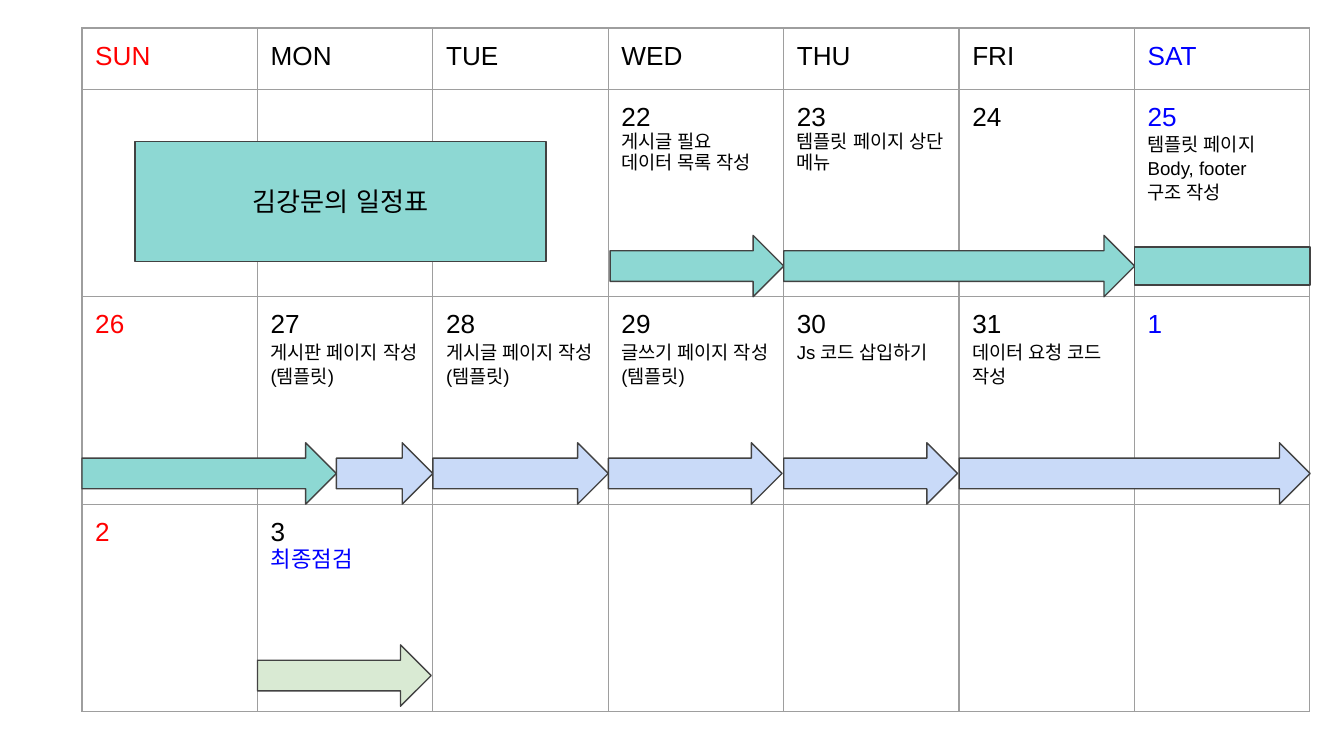
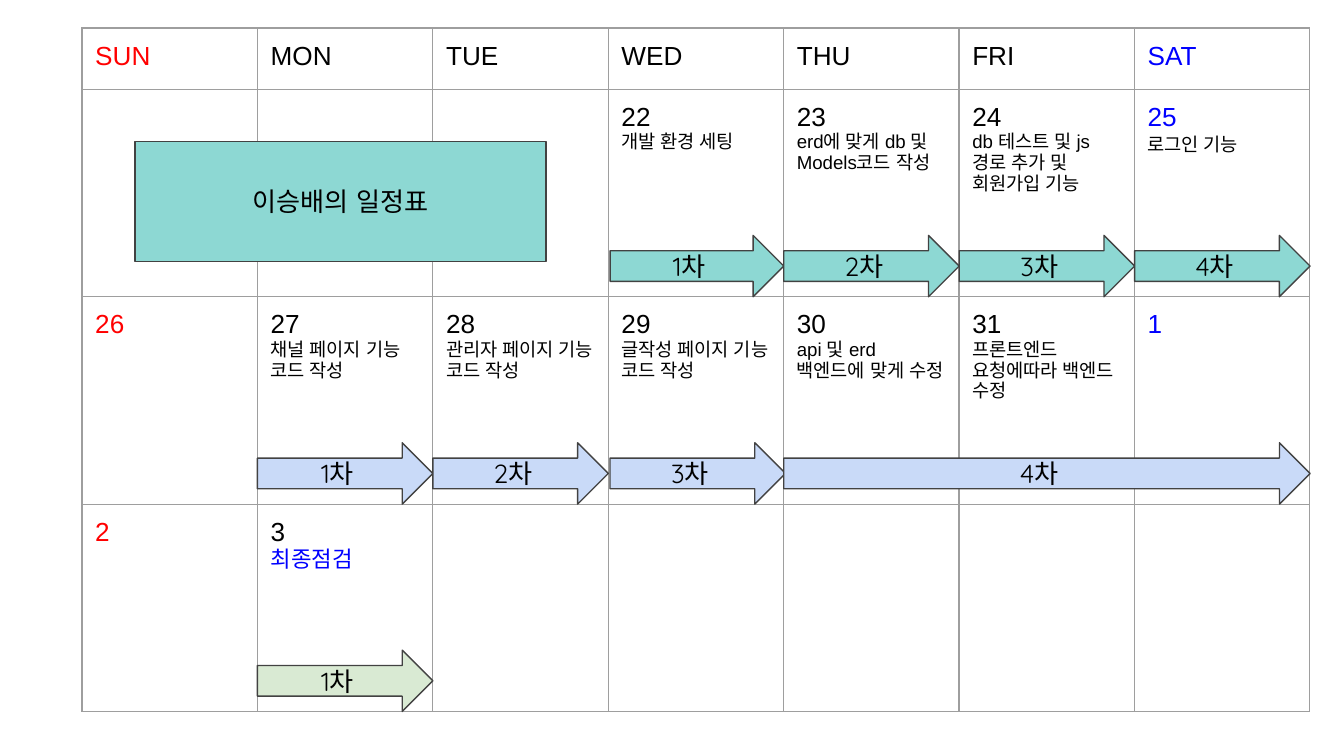
from lxml import etree
from pptx import Presentation
from pptx import util as u
from pptx.dml.color import RGBColor
from pptx.enum import shapes, text
from pptx.oxml import ns

RED, BLUE, BLACK = "FF0000", "0000FF", "000000"
TEAL, SKY, GREEN = "8DD8D3", "C9DAF8", "D9EAD3"
EDGE, GRID = "424242", "9E9E9E"
ARROW = shapes.MSO_SHAPE.RIGHT_ARROW
RECT = shapes.MSO_SHAPE.RECTANGLE

LEFT, TOP, WIDTH = 1.55, 0.53, 23.21
HEAD, WEEK = 1.16, 3.92
COL = WIDTH / 7
PAD = u.Cm(0.25)

NAMES = ["SUN", "MON", "TUE", "WED", "THU", "FRI", "SAT"]
WEEKS = [
    [None, None, None, 22, 23, 24, 25],
    [26, 27, 28, 29, 30, 31, 1],
    [2, 3, None, None, None, None, None],
]
FINAL = 3

# Notes are keyed by day; "loose" days have wider line spacing.
# Bars are (week, first column, columns, colour, label, extras).
PLANS = [
    {
        "title": "김강문의 일정표",
        "notes": {
            22: "게시글 필요\n데이터 목록 작성",
            23: "템플릿 페이지 상단 메뉴",
            25: "템플릿 페이지\nBody, footer\n구조 작성",
            27: "게시판 페이지 작성\n(템플릿)",
            28: "게시글 페이지 작성\n(템플릿)",
            29: "글쓰기 페이지 작성\n(템플릿)",
            30: "Js 코드 삽입하기",
            31: "데이터 요청 코드 작성",
        },
        "loose": {25, 27, 28, 29, 30, 31},
        "bars": [
            (0, 3.01, 0.99, TEAL, "", {}),
            (0, 4, 2, TEAL, "", {}),
            (0, 6, 1, TEAL, "", {"kind": RECT, "high": 0.72, "lift": 0.22}),
            (1, 0, 1.45, TEAL, "", {}),
            (1, 1.45, 0.55, SKY, "", {}),
            (1, 2, 1, SKY, "", {}),
            (1, 3, 0.99, SKY, "", {}),
            (1, 4, 0.99, SKY, "", {}),
            (1, 5, 2, SKY, "", {}),
            (2, 1, 0.99, GREEN, "", {"lift": 0.1}),
        ],
    },
    {
        "title": "이승배의 일정표",
        "notes": {
            22: "개발 환경 세팅",
            23: "erd에 맞게 db 및 Models코드 작성",
            24: "db 테스트 및 js 경로 추가 및 회원가입 기능",
            25: "로그인 기능",
            27: "채널 페이지 기능 코드 작성",
            28: "관리자 페이지 기능 코드 작성",
            29: "글작성 페이지 기능 코드 작성",
            30: "api 및 erd 백엔드에 맞게 수정",
            31: "프론트엔드 요청에따라 백엔드 수정",
        },
        "loose": {25},
        "bars": [
            (0, 3.01, 0.99, TEAL, "1차", {}),
            (0, 4, 1, TEAL, "2차", {}),
            (0, 5, 1, TEAL, "3차", {}),
            (0, 6, 1, TEAL, "4차", {}),
            (1, 1, 1, SKY, "1차", {}),
            (1, 2, 1, SKY, "2차", {}),
            (1, 3.01, 1, SKY, "3차", {}),
            (1, 4, 3, SKY, "4차", {}),
            (2, 1, 1, GREEN, "1차", {}),
        ],
    },
]


def rgb(code):
    return RGBColor.from_string(code)


def write(frame, words, size=14, color=BLACK, font="Arial", align=None,
          space=None, more=False):
    """Write one paragraph per line; with more, add below what is there."""
    for line in words.split("\n"):
        para = frame.add_paragraph() if more else frame.paragraphs[0]
        more = True
        para.alignment = align
        para.line_spacing = space
        run = para.add_run()
        run.text = line
        run.font.size = u.Pt(size)
        run.font.name = font
        run.font.color.rgb = rgb(color)
        east = etree.SubElement(run.font._element, ns.qn("a:ea"))
        east.set("typeface", font)


def border(cell):
    props = cell._tc.get_or_add_tcPr()
    for spot, side in enumerate("LRTB"):
        line = etree.Element(ns.qn("a:ln" + side), w=str(u.Pt(0.75)))
        fill = etree.SubElement(line, ns.qn("a:solidFill"))
        etree.SubElement(fill, ns.qn("a:srgbClr"), val=GRID)
        props.insert(spot, line)


def block(slide, kind, box, fill, words):
    """Add an outlined shape with centred words in a box given in cm."""
    shape = slide.shapes.add_shape(kind, *map(u.Cm, box))
    shape.shadow.inherit = False
    shape.fill.solid()
    shape.fill.fore_color.rgb = rgb(fill)
    shape.line.color.rgb = rgb(EDGE)
    shape.line.width = u.Pt(0.75)
    frame = shape.text_frame
    frame.word_wrap = True
    frame.vertical_anchor = text.MSO_ANCHOR.MIDDLE
    frame.margin_left = frame.margin_right = PAD
    frame.margin_top = frame.margin_bottom = PAD
    if words:
        write(frame, words, font="Quicksand", align=text.PP_ALIGN.CENTER)


def month(slide, box, plan):
    """Draw the calendar table with its dates and notes."""
    table = slide.shapes.add_table(4, 7, *map(u.Cm, box)).table
    table.first_row = table.horz_banding = False
    for col in table.columns:
        col.width = u.Cm(box[2] / 7)
    for row, high in zip(table.rows, [HEAD] + [WEEK] * 3):
        row.height = u.Cm(high)
    for r, days in enumerate([NAMES] + WEEKS):
        for c, day in enumerate(days):
            cell = table.cell(r, c)
            cell.margin_left = cell.margin_right = PAD
            cell.margin_top = cell.margin_bottom = PAD
            cell.fill.background()
            border(cell)
            if day is None:
                continue
            frame = cell.text_frame
            write(frame, str(day), color={0: RED, 6: BLUE}.get(c, BLACK))
            if day in plan["notes"]:
                space = 1.15 if day in plan["loose"] else None
                write(frame, plan["notes"][day], size=10, space=space, more=True)
            if day == FINAL:
                write(frame, "최종점검", size=12, color=BLUE, more=True)


def bar(slide, box, task):
    """Place a task bar along the foot of its week."""
    week, start, span, fill, words, extra = task
    high = extra.get("high", HEAD)
    foot = box[1] + HEAD + WEEK * (week + 1) - extra.get("lift", 0)
    place = (box[0] + COL * start, foot - high, COL * span, high)
    block(slide, extra.get("kind", ARROW), place, fill, words)


def build(deck, plan):
    slide = deck.slides.add_slide(deck.slide_layouts[6])
    box = (LEFT, TOP, WIDTH, HEAD + 3 * WEEK)
    month(slide, box, plan)
    block(slide, RECT, (box[0] + 1, box[1] + 2.15, 7.77, 2.26), TEAL, plan["title"])
    for task in plan["bars"]:
        bar(slide, box, task)


def main():
    deck = Presentation()
    deck.slide_width, deck.slide_height = u.Cm(25.4), u.Cm(14.29)
    for plan in PLANS:
        build(deck, plan)
    deck.save("out.pptx")


if __name__ == "__main__":
    main()
